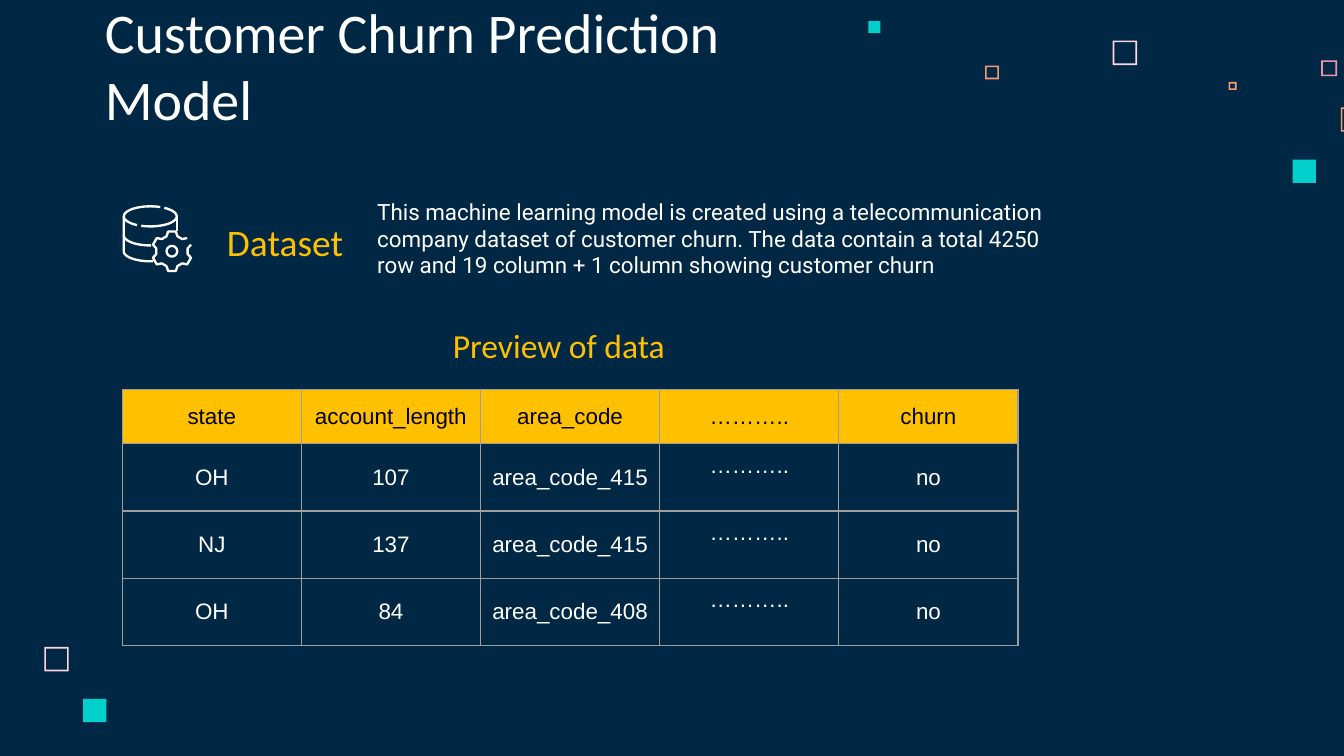
"""Build the customer churn dataset slide."""
from math import cos, radians, sin

from lxml.etree import SubElement
from pptx import Presentation
from pptx.dml.color import RGBColor
from pptx.enum.shapes import MSO_SHAPE
from pptx.enum.text import MSO_ANCHOR, MSO_AUTO_SIZE, PP_ALIGN
from pptx.oxml.ns import qn
from pptx.util import Cm, Pt

COLORS = {
    "navy": "002845", "white": "FFFFFF", "black": "000000", "gold": "FFC000",
    "teal": "00CFCC", "blush": "FFD6E1", "rose": "E898AC", "coral": "FF9973",
    "grey": "9E9E9E",
}
FRAMES = [
    (21.03, 0.77, 0.46, "blush"), (24.97, 1.14, 0.3, "rose"),
    (23.22, 1.55, 0.15, "coral"), (25.34, 2.03, 0.46, "coral"),
    (18.62, 1.24, 0.26, "coral"), (0.84, 12.23, 0.46, "blush"),
]
BLOCKS = [(24.43, 3.02, 0.44), (16.41, 0.4, 0.23), (1.57, 13.21, 0.44)]
DOTS = "……….."
ROWS = [
    ("state", "account_length", "area_code", DOTS, "churn"),
    ("OH", "107", "area_code_415", DOTS, "no"),
    ("NJ", "137", "area_code_415", DOTS, "no"),
    ("OH", "84", "area_code_408", DOTS, "no"),
]
ABOUT = ("This machine learning model is created using a telecommunication "
         "company dataset of customer churn. The data contain a total 4250 "
         "row and 19 column + 1 column showing customer churn")


def tint(name):
    """Return the named colour."""
    return RGBColor.from_string(COLORS[name])


def style(para, font, size, color):
    """Set the font of a paragraph."""
    para.font.name = font
    para.font.size = Pt(size)
    para.font.color.rgb = tint(color)


def square(slide, kind, left, top, size, color):
    """Add a small flat square and return it."""
    shape = slide.shapes.add_shape(kind, Cm(left), Cm(top), Cm(size), Cm(size))
    shape.fill.solid()
    shape.fill.fore_color.rgb = tint(color)
    shape.line.fill.background()
    shape.shadow.inherit = False
    return shape


def decor(slide):
    """Scatter hollow and solid squares."""
    for left, top, size, color in FRAMES:
        frame = square(slide, MSO_SHAPE.FRAME, left, top, size, color)
        frame.adjustments[0] = 0.03 / size
    for left, top, size in BLOCKS:
        square(slide, MSO_SHAPE.RECTANGLE, left, top, size, "teal")


def label(slide, box, text, font, size, color, pad=0.25):
    """Add a wrapped text box."""
    frame = slide.shapes.add_textbox(*map(Cm, box)).text_frame
    frame.word_wrap = True
    frame.margin_top = frame.margin_bottom = Cm(pad)
    frame.text = text
    style(frame.paragraphs[0], font, size, color)


def title(slide, text):
    """Place and format the slide title."""
    shape = slide.shapes.title
    shape.left, shape.top = Cm(1.73), Cm(1.14)
    shape.width, shape.height = Cm(15.1), Cm(1.6)
    frame = shape.text_frame
    frame.text = text
    frame.auto_size = MSO_AUTO_SIZE.NONE
    frame.word_wrap = True
    frame.vertical_anchor = MSO_ANCHOR.BOTTOM
    frame.margin_left = frame.margin_right = Cm(0.25)
    frame.margin_top = frame.margin_bottom = Cm(0.25)
    frame.paragraphs[0].alignment = PP_ALIGN.LEFT
    style(frame.paragraphs[0], "Calibri", 30, "white")


def arc(mid, radii, start, end, count=24):
    """Return points along an elliptic arc, angles in degrees."""
    turns = [radians(start + (end - start) * i / count) for i in range(count + 1)]
    return [(mid[0] + radii[0] * cos(t), mid[1] + radii[1] * sin(t))
            for t in turns]


def stroke(group, points):
    """Draw a white outline through points."""
    dots = [(Cm(x), Cm(y)) for x, y in points]
    path = group.shapes.build_freeform(*dots[0])
    path.add_line_segments(dots[1:], close=False)
    shape = path.convert_to_shape()
    shape.fill.background()
    shape.line.color.rgb = tint("white")
    shape.line.width = Pt(1.25)
    shape.shadow.inherit = False


def icon(slide):
    """Draw a database drum with a gear."""
    group = slide.shapes.add_group_shape()
    left, mid, right, rim = 2.34, 2.84, 3.34, 4.09
    radii = (mid - left, 0.19)
    for start, end in ((120, 292), (302, 470)):
        stroke(group, arc((mid, rim), radii, start, end))
    stroke(group, arc((mid, 4.45), radii, 180, 88))
    stroke(group, [(left, rim)] + arc((mid, 4.75), radii, 180, 84))
    stroke(group, [(right, rim), (right, 4.36)])
    hub = (3.25, 4.75)
    gear = []
    for tooth in range(-30, 331, 60):
        for turn, size in ((-20, 0.3), (-11, 0.38), (11, 0.38), (20, 0.3)):
            gear += arc(hub, (size, size), tooth + turn, tooth + turn, 0 or 1)[:1]
    stroke(group, gear[2:-2])
    stroke(group, arc(hub, (0.1, 0.1), 0, 360))


def border(cell):
    """Give a cell thin grey edges."""
    props = cell._tc.get_or_add_tcPr()
    for spot, side in enumerate(("a:lnL", "a:lnR", "a:lnT", "a:lnB")):
        line = SubElement(props, qn(side), w=str(Pt(0.75)))
        fill = SubElement(line, qn("a:solidFill"))
        SubElement(fill, qn("a:srgbClr"), val=COLORS["grey"])
        props.insert(spot, line)


def fill(cell, text, head):
    """Write and format one table cell."""
    cell.text = text
    para = cell.text_frame.paragraphs[0]
    para.alignment = PP_ALIGN.CENTER
    style(para, "Arial", 12, "black" if head else "white")
    cell.vertical_anchor = MSO_ANCHOR.MIDDLE
    cell.margin_left = cell.margin_right = Cm(0.08)
    cell.margin_top = cell.margin_bottom = Cm(0.05)
    if text == DOTS and not head:
        cell.margin_bottom = Cm(0.5)
    if head:
        cell.fill.solid()
        cell.fill.fore_color.rgb = tint("gold")
    else:
        cell.fill.background()
    border(cell)


def grid(slide):
    """Add the data preview table."""
    table = slide.shapes.add_table(
        len(ROWS), len(ROWS[0]), Cm(2.31), Cm(7.36), Cm(16.93), Cm(4.84)).table
    table.horz_banding = False
    for col in table.columns:
        col.width = Cm(3.386)
    for r, row in enumerate(ROWS):
        table.rows[r].height = Cm(1.27 if r else 1.03)
        for c, text in enumerate(row):
            fill(table.cell(r, c), text, r == 0)


def main():
    """Build and save the deck."""
    deck = Presentation()
    deck.slide_width, deck.slide_height = Cm(25.4), Cm(14.29)
    slide = deck.slides.add_slide(deck.slide_layouts[5])
    slide.background.fill.solid()
    slide.background.fill.fore_color.rgb = tint("navy")
    decor(slide)
    title(slide, "Customer Churn Prediction Model")
    label(slide, (4.04, 3.89, 5.23, 1.09), "Dataset", "Calibri", 20, "gold")
    label(slide, (6.88, 3.61, 13.31, 1.8), ABOUT, "Roboto", 12, "white", 0.13)
    icon(slide)
    grid(slide)
    label(slide, (8.31, 5.89, 5.23, 1.09), "Preview of data", "Calibri", 18, "gold")
    deck.save("out.pptx")


if __name__ == "__main__":
    main()
